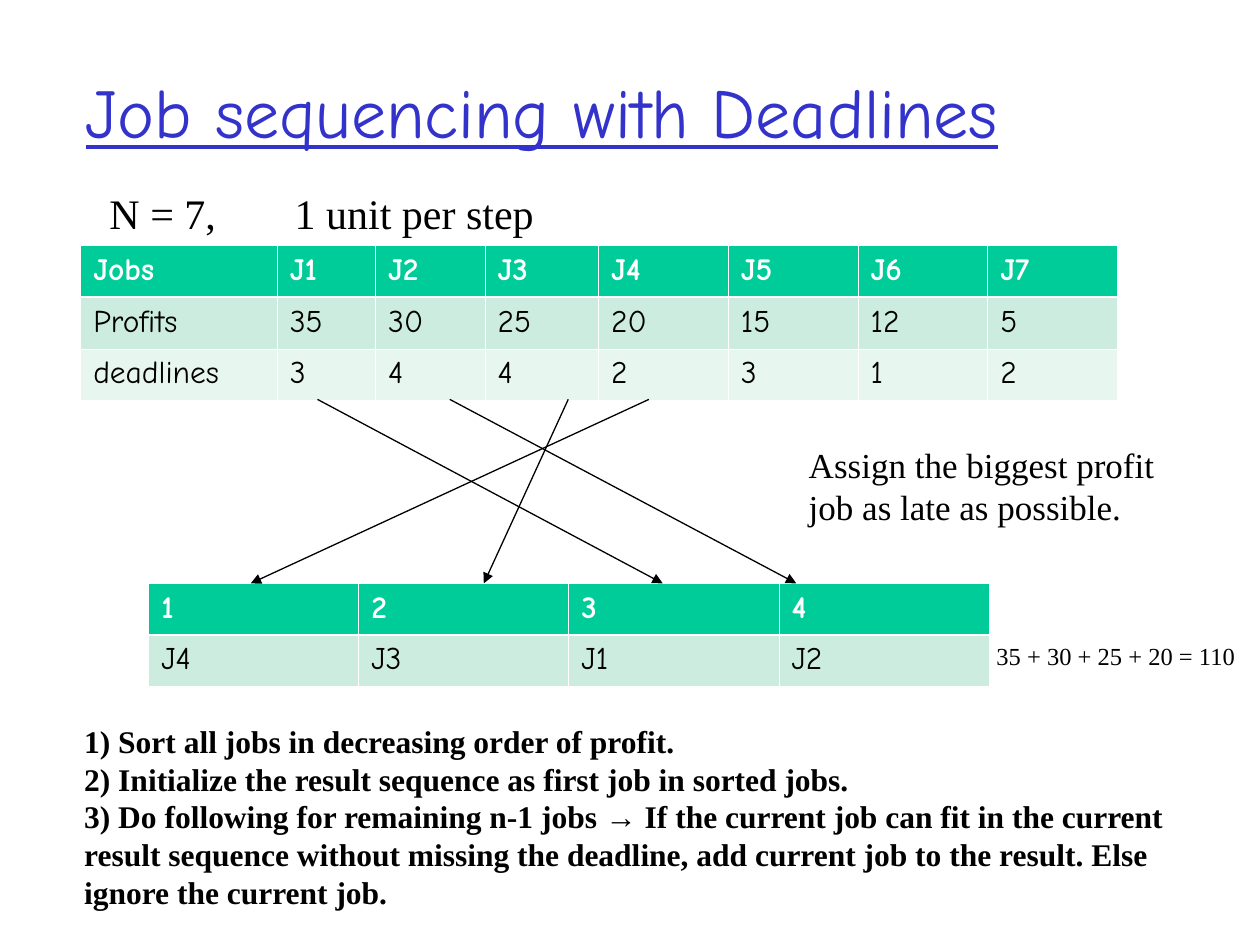
import pptx
from pptx.dml.color import RGBColor
from pptx.enum.shapes import MSO_CONNECTOR
from pptx.enum.text import MSO_ANCHOR, MSO_AUTO_SIZE, PP_ALIGN
from pptx.oxml import parse_xml
from pptx.oxml.ns import nsdecls
from pptx.util import Inches, Pt

BLACK = RGBColor(0x00, 0x00, 0x00)
WHITE = RGBColor(0xFF, 0xFF, 0xFF)
BLUE = RGBColor(0x33, 0x33, 0xCC)
GREEN = RGBColor(0x00, 0xCC, 0x99)
BANDS = [RGBColor(0xCB, 0xEC, 0xDE), RGBColor(0xE7, 0xF6, 0xEF)]
COMIC, TIMES, ARIAL = "Comic Neue", "Times New Roman", "Arial"

# Content
TITLE = "Job sequencing with Deadlines"
JOBS = [
    ["Jobs", "J1", "J2", "J3", "J4", "J5", "J6", "J7"],
    ["Profits", "35", "30", "25", "20", "15", "12", "5"],
    ["deadlines", "3", "4", "4", "2", "3", "1", "2"],
]
SCHEDULE = [["1", "2", "3", "4"], ["J4", "J3", "J1", "J2"]]
STEPS = [
    "1) Sort all jobs in decreasing order of profit.",
    "2) Initialize the result sequence as first job in sorted jobs.",
    "3) Do following for remaining n-1 jobs → If the current job can fit in the "
    "current result sequence without missing the deadline, add current job to "
    "the result. Else ignore the current job.",
]
# Text boxes: paragraphs, (left, top, width, height), size, bold
NOTES = [
    (["N = 7,"], (0.77, 1.44, 1.15, 0.5), 24, False),
    (["1 unit per step"], (2.24, 1.44, 2.15, 0.5), 24, False),
    (["35 + 30 + 25 + 20 = 110"], (7.81, 5.04, 2.15, 0.34), 14, False),
    (["Assign the biggest profit job as late as possible."],
     (6.32, 3.47, 3.29, 0.77), 20, False),
    (STEPS, (0.57, 5.68, 9.04, 1.6), 18, True),
]
# Layout
JOBS_AT, JOB_COLS = (0.64, 1.95), [1.56, 0.78, 0.87, 0.9] + [1.03] * 4
SCHEDULE_AT, SLOT_COLS = (1.18, 4.63), [6.67 / 4] * 4
ROW_H = 0.41
ARROW_TOP, ARROW_BOTTOM = 3.17, 4.63
ARROWS = [(2.52, 5.26), (3.57, 6.32), (4.51, 3.84), (5.15, 1.99)]  # J1 to J4


def write(tf, paragraphs, font=TIMES, size=18, color=BLACK, bold=False, underline=None):
    """Fill a text frame; the arrow symbol gets its own run in Arial."""
    for i, text in enumerate(paragraphs):
        p = tf.paragraphs[0] if i == 0 else tf.add_paragraph()
        p.alignment = PP_ALIGN.LEFT
        for part in filter(None, text.partition("→")):
            r = p.add_run()
            r.text = part
            r.font.name = ARIAL if part == "→" else font
            r.font.size = Pt(size)
            r.font.bold = bold
            r.font.underline = underline
            r.font.color.rgb = color


def add_borders(cell, row):
    """White cell borders, heavier between the header and the body."""
    heavy = {0: "B", 1: "T"}.get(row)
    tcPr = cell._tc.get_or_add_tcPr()
    for side in "LRTB":
        width = Pt(1.47 if side == heavy else 0.45)
        tcPr.append(parse_xml(
            f'<a:ln{side} {nsdecls("a")} w="{width}"><a:solidFill>'
            f'<a:srgbClr val="{WHITE}"/></a:solidFill></a:ln{side}>'))


def add_grid(s, rows, at, widths):
    left, top = at
    table = s.shapes.add_table(
        len(rows), len(widths), Inches(left), Inches(top),
        Inches(sum(widths)), Inches(ROW_H * len(rows))).table
    for column, width in zip(table.columns, widths):
        column.width = Inches(width)
    for i, row in enumerate(rows):
        table.rows[i].height = Inches(ROW_H)
        for j, text in enumerate(row):
            cell = table.cell(i, j)
            add_borders(cell, i)
            cell.fill.solid()
            cell.fill.fore_color.rgb = BANDS[(i - 1) % 2] if i else GREEN
            write(cell.text_frame, [text], font=COMIC,
                  color=BLACK if i else WHITE, bold=i == 0)


def add_arrow(s, x1, x2):
    line = s.shapes.add_connector(
        MSO_CONNECTOR.STRAIGHT, Inches(x1), Inches(ARROW_TOP),
        Inches(x2), Inches(ARROW_BOTTOM))
    line.line.color.rgb = BLACK
    line.line.width = Pt(0.75)
    line.line._get_or_add_ln().append(
        parse_xml(f'<a:tailEnd {nsdecls("a")} type="triangle"/>'))
    line._element.spPr.append(parse_xml(f'<a:effectLst {nsdecls("a")}/>'))


def main():
    prs = pptx.Presentation()
    prs.slide_width, prs.slide_height = Inches(10), Inches(7.5)
    s = prs.slides.add_slide(prs.slide_layouts[5])

    # Title
    title = s.shapes.title
    title.left, title.top, title.width, title.height = map(Inches, (0.58, 0.25, 8.5, 1.25))
    title.text_frame.vertical_anchor = MSO_ANCHOR.MIDDLE
    write(title.text_frame, [TITLE], font=COMIC, size=40, color=BLUE, underline=True)

    # Job table, schedule table and the arrows between them
    add_grid(s, JOBS, JOBS_AT, JOB_COLS)
    add_grid(s, SCHEDULE, SCHEDULE_AT, SLOT_COLS)
    for x1, x2 in ARROWS:
        add_arrow(s, x1, x2)

    # Remarks and algorithm steps
    for paragraphs, box, size, bold in NOTES:
        tf = s.shapes.add_textbox(*map(Inches, box)).text_frame
        tf.word_wrap = True
        tf.auto_size = MSO_AUTO_SIZE.SHAPE_TO_FIT_TEXT
        write(tf, paragraphs, size=size, bold=bold)

    prs.save("out.pptx")


if __name__ == "__main__":
    main()
